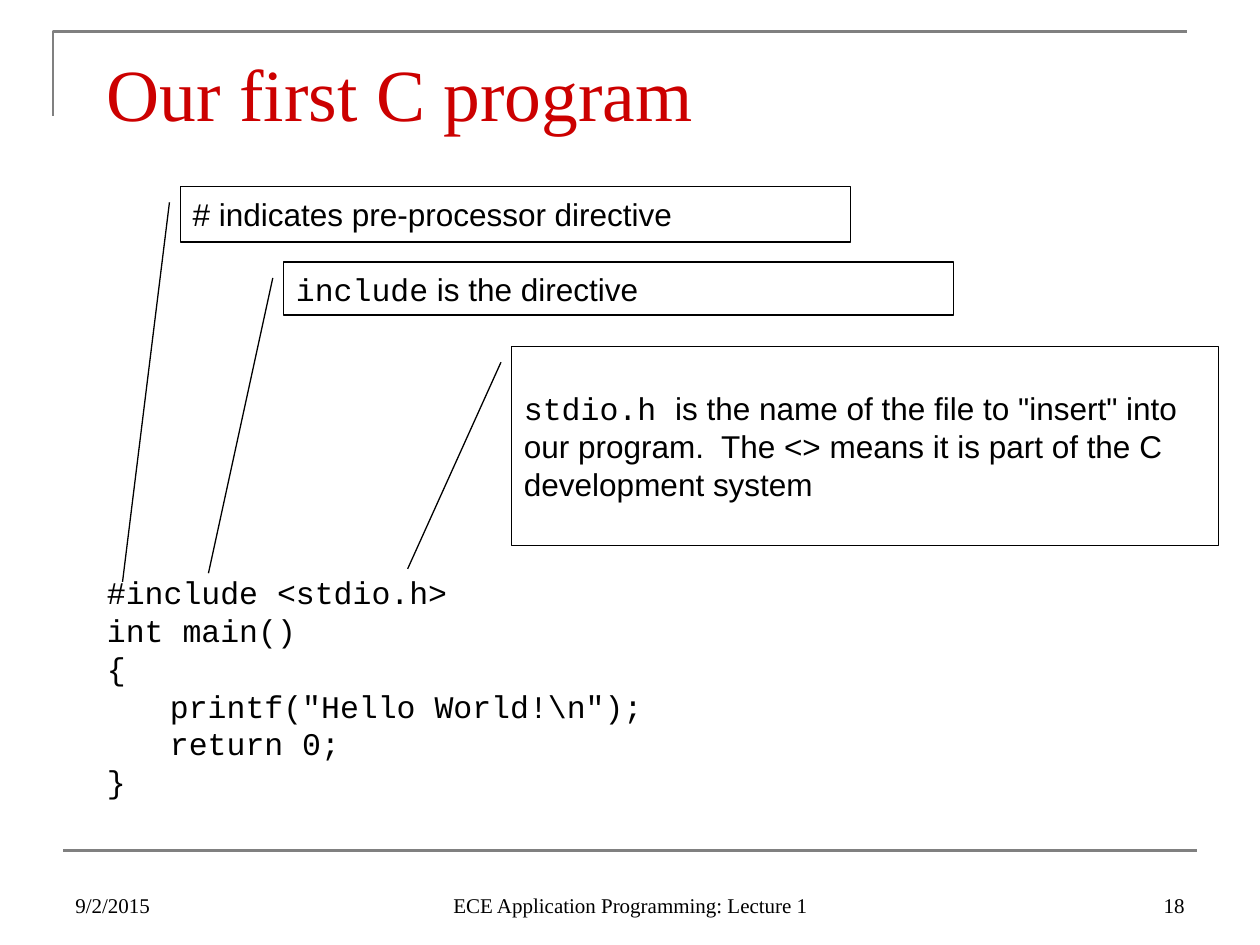
from lxml import etree
from pptx import Presentation
from pptx import util as u
from pptx.dml import color
from pptx.enum import shapes, text
from pptx.oxml import ns

COLORS = {"ink": "000000", "title": "CC0000", "rule": "808080"}
SERIF, SANS, MONO = "Times New Roman", "Arial", "Courier New"


def rgb(name):
    return color.RGBColor.from_string(COLORS[name])


def write(shape, runs, size=18, ink="ink", anchor=text.MSO_ANCHOR.TOP,
          align=text.PP_ALIGN.LEFT):
    """Fill a shape with one paragraph of (words, font) runs; newlines become line breaks."""
    frame = shape.text_frame
    frame.word_wrap = True
    frame.vertical_anchor = anchor
    paragraph = frame.paragraphs[0]
    paragraph.alignment = align
    paragraph.font.size = u.Pt(size)
    for words, font in runs:
        for index, line in enumerate(words.split("\n")):
            if index:
                paragraph.add_line_break()
            run = paragraph.add_run()
            run.text = line
            run.font.name = font
            run.font.size = u.Pt(size)
            run.font.color.rgb = rgb(ink)


presentation = Presentation()
presentation.slide_width = u.Inches(10)
presentation.slide_height = u.Inches(7.5)
slide = presentation.slides.add_slide(presentation.slide_layouts[6])

# Corner frame and footer rule
builder = slide.shapes.build_freeform(u.Inches(0.42), u.Inches(0.92))
builder.add_line_segments(
    [(u.Inches(0.42), u.Inches(0.25)), (u.Inches(9.42), u.Inches(0.25))], close=False)
corner = builder.convert_to_shape()
corner.shadow.inherit = False
corner.fill.background()

footer_rule = slide.shapes.add_connector(
    shapes.MSO_CONNECTOR.STRAIGHT,
    u.Inches(0.5), u.Inches(6.75), u.Inches(9.5), u.Inches(6.75))
etree.SubElement(footer_rule._element.spPr, ns.qn("a:effectLst"))

for rule in (corner, footer_rule):
    rule.line.color.rgb = rgb("rule")
    rule.line.width = u.Pt(1.5)

# Title and program
title = slide.shapes.add_textbox(u.Inches(0.75), u.Inches(0.33), u.Inches(8.5), u.Inches(0.92))
write(title, [("Our first C program", SERIF)], size=42, ink="title")

PROGRAM = r"""#include <stdio.h>
int main()
{
	printf("Hello World!\n");
	return 0;
}"""
code = slide.shapes.add_textbox(u.Inches(0.75), u.Inches(4.5), u.Inches(8.58), u.Inches(2.5))
write(code, [(PROGRAM, MONO)])

# Callouts pointing at the parts of the first code line
callouts = [
    ((1.43, 1.48, 5.32, 0.44), (0.287, -0.016, 7.131, -0.086),
     [("# indicates pre-processor directive", SANS)]),
    ((2.25, 2.08, 5.32, 0.42), (0.3, -0.016, 5.879, -0.112),
     [("include", MONO), (" is the directive", SANS)]),
    ((4.06, 2.75, 5.61, 1.58), (0.079, -0.015, 1.117, -0.147),
     [("stdio.h ", MONO),
      ('is the name of the file to "insert" into our program.  '
       "The <> means it is part of the C development system", SANS)]),
]
for box, pointer, runs in callouts:
    callout = slide.shapes.add_shape(
        shapes.MSO_SHAPE.LINE_CALLOUT_1, *[u.Inches(length) for length in box])
    for index, value in enumerate(pointer):
        callout.adjustments[index] = value
    callout.shadow.inherit = False
    callout.fill.background()
    callout.line.color.rgb = rgb("ink")
    callout.line.width = u.Pt(0.75)
    write(callout, runs, anchor=text.MSO_ANCHOR.MIDDLE)

# Footer
footers = [
    (0.5, 2.33, "9/2/2015", text.PP_ALIGN.LEFT),
    (3.42, 3.17, "ECE Application Programming: Lecture 1", text.PP_ALIGN.CENTER),
    (7.17, 2.33, "18", text.PP_ALIGN.RIGHT),
]
for left, width, words, align in footers:
    footer = slide.shapes.add_textbox(
        u.Inches(left), u.Inches(6.83), u.Inches(width), u.Inches(0.5))
    write(footer, [(words, SERIF)], size=12, anchor=text.MSO_ANCHOR.BOTTOM, align=align)

presentation.save("out.pptx")
